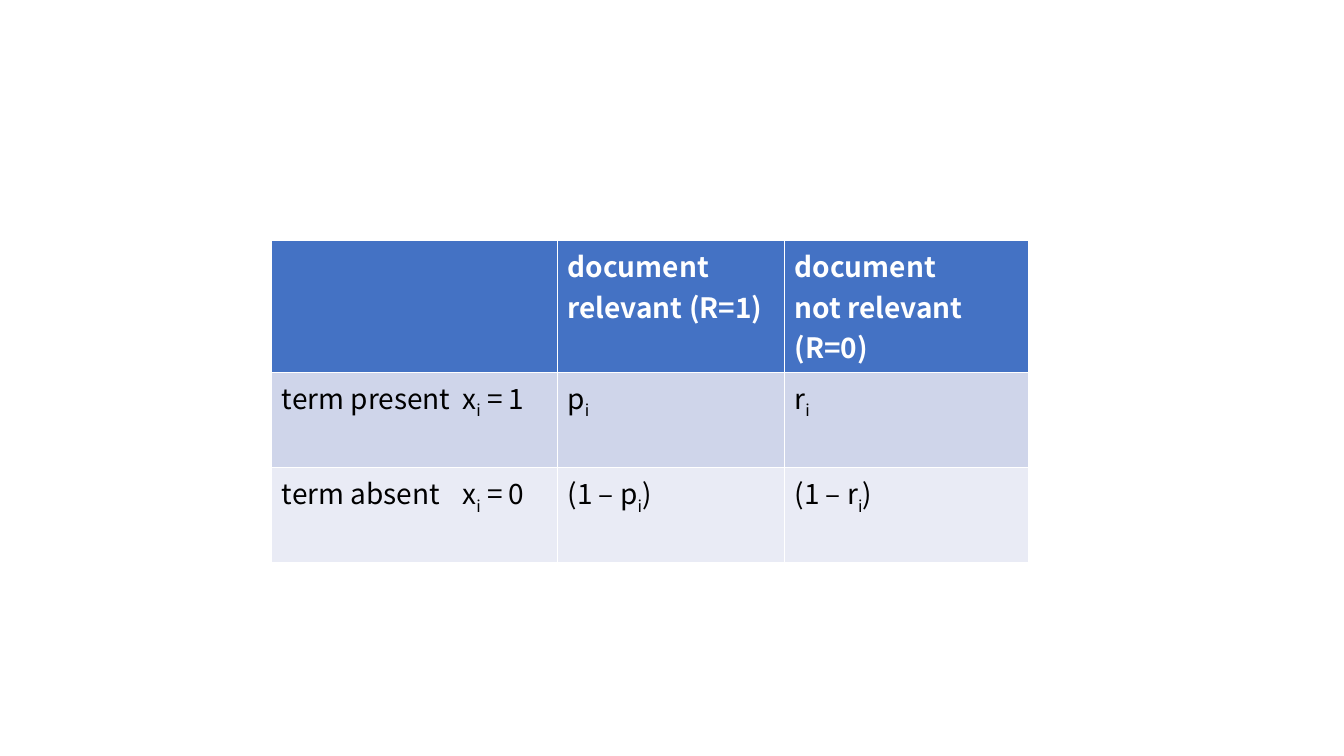
"""Build a slide with a table of term probabilities by document relevance."""
from lxml import etree
from pptx import Presentation
from pptx.dml.color import RGBColor as RGB
from pptx.oxml.ns import qn
from pptx.util import Cm, Pt

COLORS = {"header": "4472C4", "present": "CFD5EA", "absent": "E9EBF5",
          "white": "FFFFFF", "black": "000000"}
FONT = "Noto Sans CJK SC"
COL_WIDTHS = [7.2, 5.72, 6.15]
ROW_HEIGHTS = [3.3, 2.4, 2.4]
X_TAB = Cm(4.55)

# Each "_" marks the next character as a subscript.
ROWS = [
    ("header", "white", ["", "document\nrelevant (R=1)", "document\nnot relevant (R=0)"]),
    ("present", "black", ["term present\tx_i = 1", "p_i", "r_i"]),
    ("absent", "black", ["term absent\tx_i = 0", "(1 – p_i)", "(1 – r_i)"]),
]


def add_run(p, text, subscript=False):
    r = p.add_run()
    r.text = text
    if subscript:
        r._r.get_or_add_rPr().set("baseline", "-25000")


prs = Presentation()
prs.slide_width, prs.slide_height = Cm(33.87), Cm(19.05)
s = prs.slides.add_slide(prs.slide_layouts[6])

table = s.shapes.add_table(len(ROWS), len(COL_WIDTHS), Cm(6.85), Cm(6.05),
                           Cm(sum(COL_WIDTHS)), Cm(sum(ROW_HEIGHTS))).table
for column, width in zip(table.columns, COL_WIDTHS):
    column.width = Cm(width)

for row, height, (fill, color, texts) in zip(table.rows, ROW_HEIGHTS, ROWS):
    row.height = Cm(height)
    for cell, text in zip(row.cells, texts):
        cell.fill.solid()
        cell.fill.fore_color.rgb = RGB.from_string(COLORS[fill])
        tf = cell.text_frame
        for i, line in enumerate(text.split("\n")):
            p = tf.paragraphs[0] if i == 0 else tf.add_paragraph()
            if "\t" in line:
                tabs = etree.SubElement(p._p.get_or_add_pPr(), qn("a:tabLst"))
                etree.SubElement(tabs, qn("a:tab"), pos=str(X_TAB), algn="l")
            p.font.name = FONT
            p.font.size = Pt(20)
            p.font.bold = fill == "header"
            p.font.color.rgb = RGB.from_string(COLORS[color])
            start, *parts = line.split("_")
            if start:
                add_run(p, start)
            for part in parts:
                add_run(p, part[0], subscript=True)
                if part[1:]:
                    add_run(p, part[1:])

prs.save("out.pptx")
